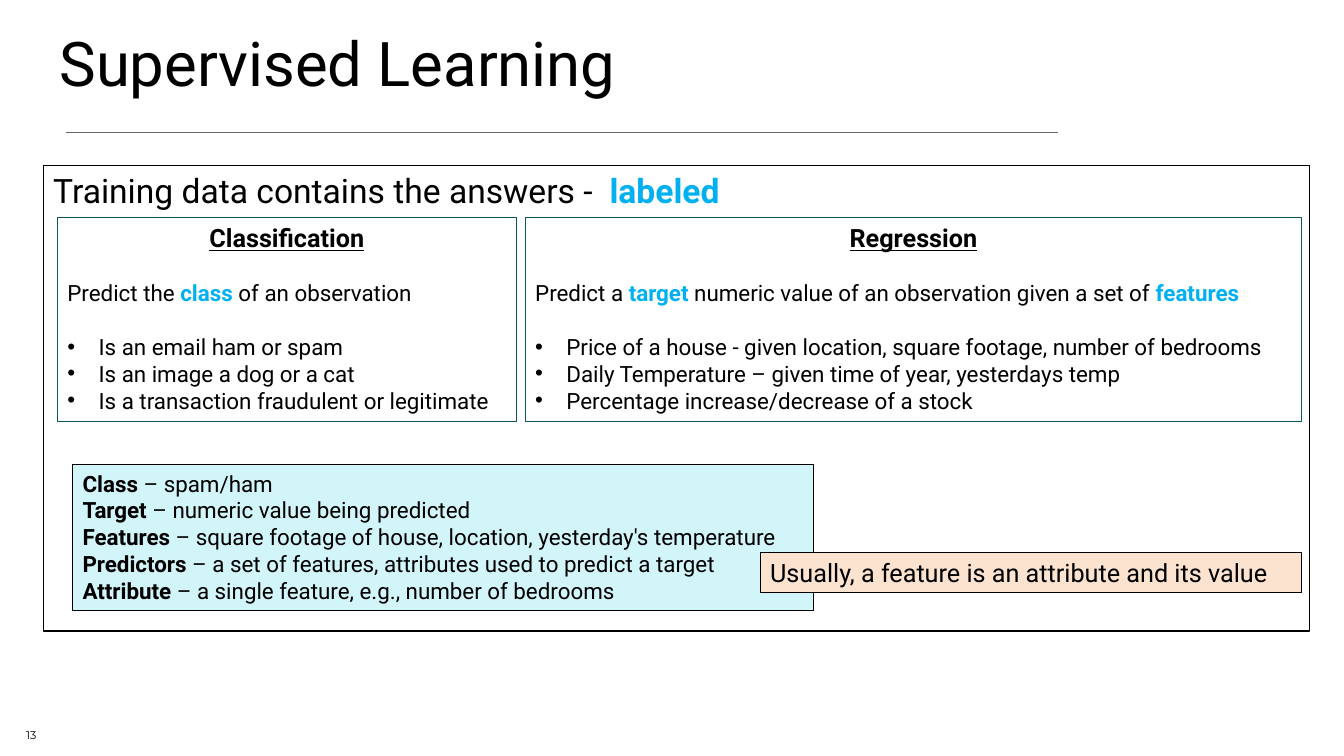
import pptx
import pptx.util
import pptx.dml.color
import pptx.enum.shapes
import pptx.enum.text
import pptx.oxml.ns
import lxml.etree

Inches = pptx.util.Inches
Pt = pptx.util.Pt
Align = pptx.enum.text.PP_ALIGN
Anchor = pptx.enum.text.MSO_ANCHOR

COLORS = {
    "ink": "000000",
    "accent": "00B0F0",
    "paper": "FFFFFF",
    "panel_edge": "0C565E",
    "glossary": "D2F5F9",
    "note": "FBE3CF",
    "rule": "666666",
}
EMPHASIS = {
    "plain": {},
    "bold": {"bold": True},
    "key": {"bold": True, "color": "accent"},
    "heading": {"bold": True, "underline": True},
}
INSETS = {"margin_left": 0.1, "margin_top": 0.05, "margin_right": 0.1, "margin_bottom": 0.05}


def rgb(name):
    return pptx.dml.color.RGBColor.from_string(COLORS[name])


def assign(target, values):
    for name, value in values.items():
        setattr(target, name, value)


class SlideBuilder:
    def __init__(self, slide, font="Roboto"):
        self.slide = slide
        self.font = font

    def fill_text(self, frame, paragraphs, size, anchor=Anchor.TOP, insets=INSETS, font=None):
        assign(frame, {"word_wrap": True, "vertical_anchor": anchor})
        assign(frame, {side: Inches(length) for side, length in insets.items()})
        for index, entry in enumerate(paragraphs):
            paragraph = frame.add_paragraph() if index else frame.paragraphs[0]
            assign(paragraph, {"alignment": Align.LEFT, **entry.get("format", {})})
            if entry.get("bullet"):
                self.bullet(paragraph)
            for words, emphasis in entry["runs"]:
                style = dict(EMPHASIS[emphasis])
                color = style.pop("color", "ink")
                run = paragraph.add_run()
                run.text = words
                assign(run.font, {"name": font or self.font,
                                  "size": Pt(entry.get("size", size)), **style})
                run.font.color.rgb = rgb(color)

    def bullet(self, paragraph):
        properties = paragraph._p.get_or_add_pPr()
        properties.set("marL", str(Inches(0.31)))
        properties.set("indent", str(-Inches(0.31)))
        for tag, key, value in (("a:buFont", "typeface", "Arial"), ("a:buChar", "char", "•")):
            mark = lxml.etree.SubElement(properties, pptx.oxml.ns.qn(tag))
            mark.set(key, value)

    def text(self, place, paragraphs, size, **options):
        label = self.slide.shapes.add_textbox(*map(Inches, place))
        self.fill_text(label.text_frame, paragraphs, size, **options)

    def box(self, place, paragraphs, size, edge, width, fill=None):
        panel = self.slide.shapes.add_shape(
            pptx.enum.shapes.MSO_SHAPE.RECTANGLE, *map(Inches, place))
        panel.shadow.inherit = False
        if fill:
            panel.fill.solid()
            panel.fill.fore_color.rgb = rgb(fill)
        else:
            panel.fill.background()
        panel.line.color.rgb = rgb(edge)
        panel.line.width = Pt(width)
        self.fill_text(panel.text_frame, paragraphs, size)

    def rule(self, left, right, top, color, width):
        line = self.slide.shapes.add_connector(
            pptx.enum.shapes.MSO_CONNECTOR.STRAIGHT,
            Inches(left), Inches(top), Inches(right), Inches(top))
        line.line.color.rgb = rgb(color)
        line.line.width = Pt(width)
        lxml.etree.SubElement(line._element.spPr, pptx.oxml.ns.qn("a:effectLst"))

    def task_panel(self, left, width, heading, summary, examples):
        gap = {"space_before": Pt(19)}
        paragraphs = [
            {"runs": [(heading, "heading")], "size": 18, "format": {"alignment": Align.CENTER}},
            {"runs": summary, "format": gap},
        ]
        for index, example in enumerate(examples):
            paragraphs.append({"runs": [(example, "plain")], "bullet": True,
                               "format": {} if index else gap})
        self.box((left, 2.16, width, 2.02), paragraphs, 16, "panel_edge", 1, "paper")


def main():
    deck = pptx.Presentation()
    assign(deck, {"slide_width": Inches(13.33), "slide_height": Inches(7.5)})
    builder = SlideBuilder(deck.slides.add_slide(deck.slide_layouts[6]))

    builder.rule(0.65, 10.49, 1.31, "rule", 0.64)
    tight = {"line_spacing": 0.9}
    builder.text((0.16, 7.22, 0.63, 0.17), [{"runs": [("13", "plain")], "format": tight}], 8,
                 anchor=Anchor.MIDDLE, font="Montserrat")
    builder.text((0.59, 0.12, 12.15, 0.94),
                 [{"runs": [("Supervised Learning", "plain")], "format": tight}], 44,
                 anchor=Anchor.MIDDLE,
                 insets={**dict.fromkeys(INSETS, 0), "margin_top": 0.14})
    builder.box((0.43, 1.64, 12.56, 4.62),
                [{"runs": [("Training data contains the answers -  ", "plain"),
                           ("labeled", "key")]}], 24, "ink", 0.75)

    builder.task_panel(
        0.57, 4.55, "Classification",
        [("Predict the ", "plain"), ("class ", "key"), ("of an observation", "plain")],
        ["Is an email ham or spam",
         "Is an image a dog or a cat",
         "Is a transaction fraudulent or legitimate"])
    builder.task_panel(
        5.21, 7.7, "Regression",
        [("Predict a ", "plain"), ("target", "key"),
         (" numeric value of an observation given a set of ", "plain"), ("features", "key")],
        ["Price of a house - given location, square footage, number of bedrooms",
         "Daily Temperature – given time of year, yesterdays temp",
         "Percentage increase/decrease of a stock"])

    glossary = {
        "Class": "spam/ham",
        "Target": "numeric value being predicted",
        "Features": "square footage of house, location, yesterday's temperature",
        "Predictors": "a set of features, attributes used to predict a target",
        "Attribute": "a single feature, e.g., number of bedrooms",
    }
    builder.box((0.72, 4.61, 7.35, 1.45),
                [{"runs": [(term, "bold"), (f" – {meaning}", "plain")]}
                 for term, meaning in glossary.items()], 16, "ink", 0.5, "glossary")
    builder.box((7.54, 5.48, 5.37, 0.4),
                [{"runs": [("Usually, a feature is an attribute and its value", "plain")]}],
                18, "ink", 1, "note")

    deck.save("out.pptx")


if __name__ == "__main__":
    main()
